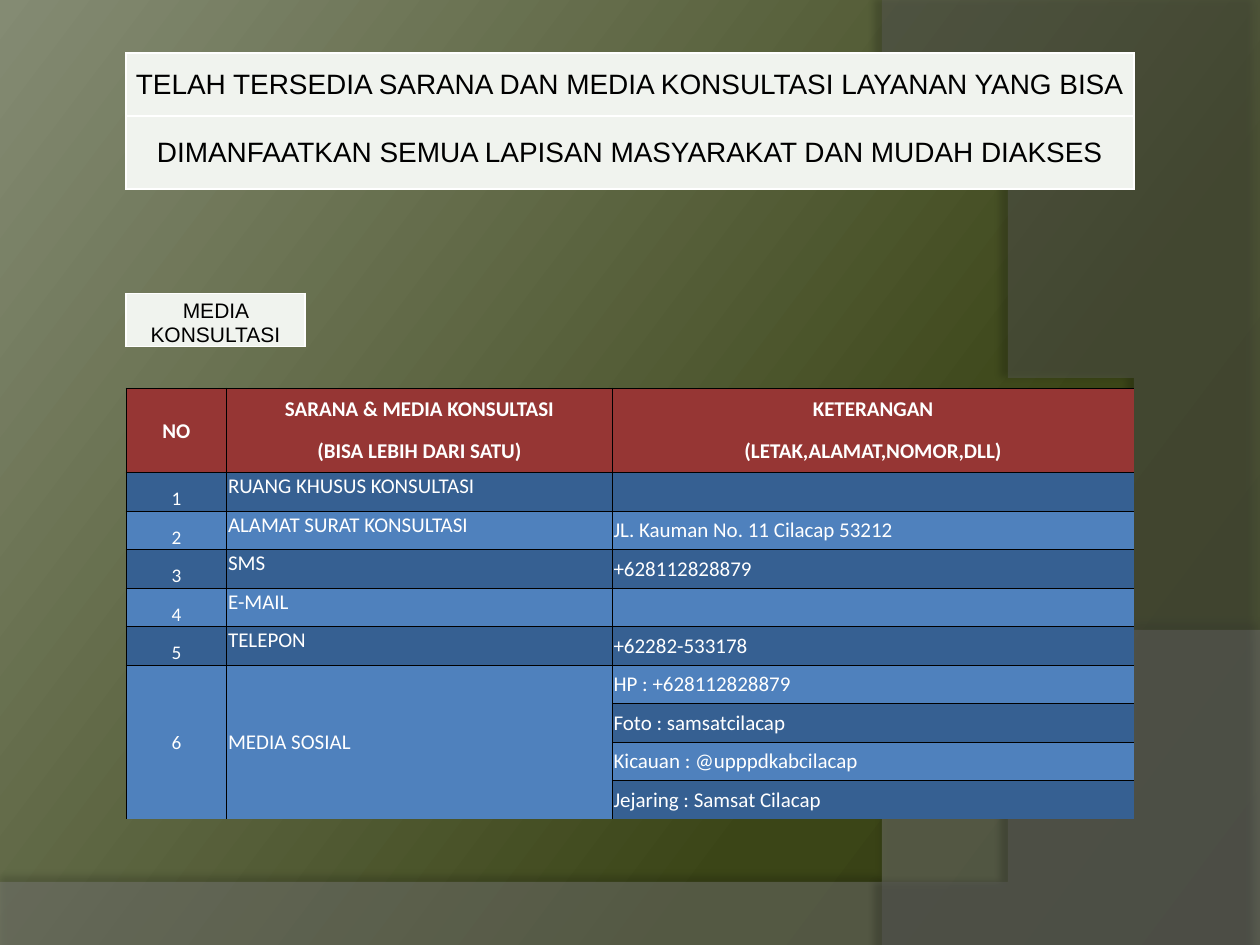
from lxml import etree
from pptx import Presentation
from pptx import util as u
from pptx.dml.color import RGBColor
from pptx.enum import text
from pptx.oxml import ns

WHITE = RGBColor(0xFF, 0xFF, 0xFF)
BLACK = RGBColor(0, 0, 0)
PALE = RGBColor(0xF0, 0xF3, 0xEE)
RED = RGBColor(0x96, 0x36, 0x34)
BLUE = RGBColor(0x4F, 0x81, 0xBD)
NAVY = RGBColor(0x36, 0x60, 0x92)
GREY = RGBColor(0x7F, 0x7F, 0x7F)
DARK_GREY = RGBColor(0x5E, 0x5E, 0x5E)
GRADIENT = [(0, RGBColor(0x31, 0x3A, 0x13)), (30, RGBColor(0x3B, 0x45, 0x17)),
            (100, RGBColor(0x84, 0x8B, 0x73))]

CENTER, LEFT = text.PP_ALIGN.CENTER, text.PP_ALIGN.LEFT
TOP, MIDDLE, BOTTOM = (text.MSO_ANCHOR.TOP, text.MSO_ANCHOR.MIDDLE,
                       text.MSO_ANCHOR.BOTTOM)

deck = Presentation()
deck.slide_width, deck.slide_height = u.Inches(10), u.Inches(7.5)
UNIT = deck.slide_width // 10  # the slide is a grid of 10 by 7.5 units
page = deck.slides.add_slide(deck.slide_layouts[6])


def add_child(parent, tag, **attributes):
    child = etree.SubElement(parent, ns.qn(tag))
    for name, value in attributes.items():
        child.set(name, str(value))
    return child


def format_cell(cell, words, fill, line, width=0.5, sides="LRTB", font="Calibri",
                size=12, color=WHITE, bold=False, align=LEFT, anchor=MIDDLE):
    cell.margin_left = cell.margin_right = cell.margin_top = u.Inches(0.01)
    cell.margin_bottom = 0
    cell.vertical_anchor = anchor
    properties = cell._tc.get_or_add_tcPr()
    for side in "LRTB":
        border = add_child(properties, "a:ln" + side, w=u.Pt(width))
        if side in sides:
            add_child(add_child(border, "a:solidFill"), "a:srgbClr", val=line)
        else:
            add_child(border, "a:noFill")
    cell.fill.solid()
    cell.fill.fore_color.rgb = fill
    para = cell.text_frame.paragraphs[0]
    para.alignment = align
    span = para.add_run()
    span.text = words
    span.font.name, span.font.size = font, u.Pt(size)
    span.font.bold, span.font.color.rgb = bold, color


# Background gradient
backdrop = page.background.fill
backdrop.gradient()
backdrop.gradient_angle = 143
stops = page.background._cSld.find(".//" + ns.qn("a:gsLst"))
for stop in list(stops):
    stops.remove(stop)
for percent, color in GRADIENT:
    stop = add_child(stops, "a:gs", pos=percent * 1000)
    add_child(stop, "a:srgbClr", val=color)

# Translucent waves: corners, then a Bezier curve from the last corner
waves = [
    ([(0, 7.05), (0, 7.5), (10, 7.5), (10, 5.2)],
     [(5.59, 7.29), (3.91, 7.19), (0, 7.05)], GREY, 45, 35, 3.5, 270),
    ([(6.68, 0), (10, 0.02), (10, 7.5), (7.03, 7.5)],
     [(8.91, 6.19), (9.47, 2.75), (6.68, 0)], DARK_GREY, 40, 45, 4, 180),
]
STEPS = 40
for corners, curve, color, opacity, shade, distance, direction in waves:
    controls = [corners[-1]] + curve
    points = corners[1:]
    for step in range(1, STEPS):
        t = step / STEPS
        weights = [(1 - t) ** 3, 3 * t * (1 - t) ** 2, 3 * t * t * (1 - t), t ** 3]
        points.append(tuple(sum(w * point[axis] for w, point in zip(weights, controls))
                            for axis in (0, 1)))
    outline = page.shapes.build_freeform(*corners[0], scale=UNIT)
    outline.add_line_segments(points, close=True)
    wave = outline.convert_to_shape()
    wave.fill.solid()
    wave.fill.fore_color.rgb = color
    wave.line.fill.background()
    properties = wave._element.spPr
    add_child(properties.find(".//" + ns.qn("a:solidFill"))[0], "a:alpha",
              val=opacity * 1000)
    wave.shadow.inherit = False
    shadow = add_child(properties.find(ns.qn("a:effectLst")), "a:outerShdw",
                       blurRad=u.Pt(4), dist=u.Pt(distance), dir=direction * 60000,
                       algn="ctr", rotWithShape=0)
    add_child(add_child(shadow, "a:srgbClr", val=BLACK), "a:alpha", val=shade * 1000)

# Title and label, then the media list: left, top, columns, rows
media_row = (3.42 - 0.67) / 9
layouts = [
    (1, 0.42, [8], [0.5, 0.58]),
    (1, 2.33, [1.42], [0.42]),
    (1, 3.08, [0.8, 3.06, 4.14], [0.33, 0.34] + [media_row] * 9),
]
tables = []
for left, top, columns, rows in layouts:
    frame = page.shapes.add_table(
        len(rows), len(columns), int(left * UNIT), int(top * UNIT),
        int(sum(columns) * UNIT), int(sum(rows) * UNIT))
    table = frame.table
    table.first_row = table.horz_banding = False
    for column, width in zip(table.columns, columns):
        column.width = int(width * UNIT)
    for row, height in zip(table.rows, rows):
        row.height = int(height * UNIT)
    tables.append(table)
title, label, media = tables

# Title and label text
pale_style = dict(fill=PALE, line=WHITE, width=1, font="Arial", color=BLACK,
                  align=CENTER)
format_cell(title.cell(0, 0),
            "TELAH TERSEDIA SARANA DAN MEDIA KONSULTASI LAYANAN YANG BISA",
            size=16, **pale_style)
format_cell(title.cell(1, 0),
            "DIMANFAATKAN SEMUA LAPISAN MASYARAKAT DAN MUDAH DIAKSES",
            size=16, **pale_style)
format_cell(label.cell(0, 0), "MEDIA KONSULTASI", anchor=BOTTOM, **pale_style)

# Media list: two header rows, then numbered rows
records = [
    ("NO", "SARANA & MEDIA KONSULTASI", "KETERANGAN"),
    ("", "(BISA LEBIH DARI SATU)", "(LETAK,ALAMAT,NOMOR,DLL)"),
    ("1", "RUANG KHUSUS KONSULTASI", ""),
    ("2", "ALAMAT SURAT KONSULTASI", "JL. Kauman No. 11 Cilacap 53212"),
    ("3", "SMS", "+628112828879"),
    ("4", "E-MAIL", ""),
    ("5", "TELEPON", "+62282-533178"),
    ("6", "MEDIA SOSIAL", "HP : +628112828879"),
    ("", "", "Foto : samsatcilacap"),
    ("", "", "Kicauan : @upppdkabcilacap"),
    ("", "", "Jejaring : Samsat Cilacap"),
]
HEADERS, SOCIAL, LAST = 2, 7, len(records) - 1
media.cell(0, 0).merge(media.cell(1, 0))
for c in (0, 1):
    media.cell(SOCIAL, c).merge(media.cell(LAST, c))

for r, record in enumerate(records):
    for c, words in enumerate(record):
        header = r < HEADERS
        merged = r >= SOCIAL and c < 2
        sides = "L" if c == 2 else "LR"
        if r != 1 and not (merged and r > SOCIAL):
            sides += "T"
        if r != 0 and r != LAST and not merged:
            sides += "B"
        if header:
            fill = RED
        else:
            fill = BLUE if merged or r % 2 else NAVY
        anchor = MIDDLE
        if not header and not merged:
            anchor = (BOTTOM, TOP, MIDDLE)[c]
        format_cell(media.cell(r, c), words, fill, BLACK, sides=sides, bold=header,
                    size=11 if c == 0 and not header else 12,
                    align=CENTER if header or c == 0 else LEFT, anchor=anchor)

deck.save("out.pptx")
